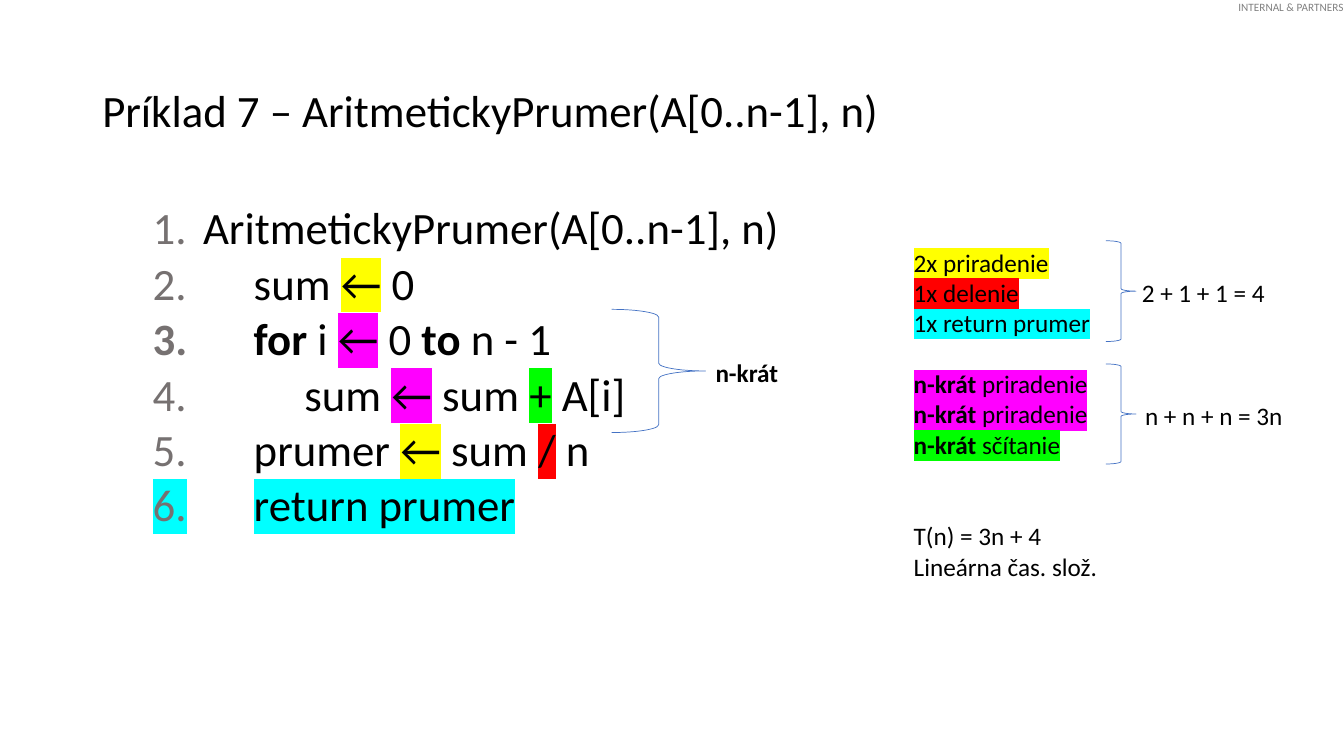
from lxml.etree import SubElement
from pptx import Presentation
from pptx.dml.color import RGBColor
from pptx.enum.shapes import MSO_SHAPE as Shape
from pptx.enum.text import MSO_ANCHOR as Anchor, MSO_AUTO_SIZE as AutoSize
from pptx.oxml.ns import qn
from pptx.util import Pt

COLORS = {
    "text": "000000", "label": "808080", "number": "767171", "brace": "4472C4",
    "yellow": "FFFF00", "magenta": "FF00FF", "green": "00FF00",
    "red": "FF0000", "cyan": "00FFFF",
}
FONT = "Calibri"
CODE_SIZE, NOTE_SIZE = 32, 18
NUMBER_LEFT, CODE_LEFT, CODE_STEP = 36, 72, 36.2

# A span is (text, highlight, bold); a code line is (depth, spans).
CODE = [
    (0, [("AritmetickyPrumer(A[0..n-1], n)",)]),
    (1, [("sum ",), ("←", "yellow"), (" 0",)]),
    (1, [("for ", None, True), ("i ",), ("←", "magenta"), (" 0 ",),
         ("to", None, True), (" n - 1",)]),
    (2, [("sum ",), ("←", "magenta"), (" sum ",), ("+", "green"), (" A[i]",)]),
    (1, [("prumer ",), ("←", "yellow"), (" sum ",), ("/", "red"), (" n",)]),
    (1, [("return prumer", "cyan")]),
]
# A cost line is (space before, spans).
COSTS = [
    (0, [("2x priradenie", "yellow")]),
    (0, [("1x delenie\t", "red")]),
    (0, [("1x return prumer", "cyan")]),
    (22, [("n-krát", "magenta", True), (" priradenie", "magenta")]),
    (0, [("n-krát", "magenta", True), (" priradenie", "magenta")]),
    (0, [("n-krát", "green", True), (" sčítanie", "green")]),
    (44, [("T(n) = 3n + 4",)]),
    (0, [("Lineárna čas. slož.",)]),
]


def rgb(name):
    return RGBColor.from_string(COLORS[name])


def add_frame(page, box, wrap=True):
    frame = page.shapes.add_textbox(*(Pt(length) for length in box)).text_frame
    frame.word_wrap = wrap
    return frame


def add_span(para, size, text, highlight=None, bold=False, color="text"):
    span = para.add_run()
    span.text = text
    font = span.font
    font.name, font.size, font.bold = FONT, Pt(size), bold
    font.color.rgb = rgb(color)
    if highlight:
        props = span._r.get_or_add_rPr()
        mark = SubElement(props, qn("a:highlight"))
        SubElement(mark, qn("a:srgbClr"), val=COLORS[highlight])
        props.find(qn("a:solidFill")).addnext(mark)


def next_para(frame, index):
    return frame.add_paragraph() if index else frame.paragraphs[0]


def number_para(para, left):
    """Number a paragraph, with its text at left and its number at NUMBER_LEFT."""
    props = para._p.get_or_add_pPr()
    props.set("marL", str(Pt(left)))
    props.set("indent", str(Pt(NUMBER_LEFT - left)))
    SubElement(SubElement(props, qn("a:buClr")), qn("a:srgbClr"), val=COLORS["number"])
    SubElement(props, qn("a:buFont"), typeface="+mj-lt")
    SubElement(props, qn("a:buAutoNum"), type="arabicPeriod")


def add_label(page, box):
    frame = add_frame(page, box, wrap=False)
    frame.margin_left = frame.margin_right = frame.margin_top = frame.margin_bottom = 0
    add_span(frame.paragraphs[0], 8, "INTERNAL & PARTNERS", color="label")


def add_title(page, box):
    frame = add_frame(page, box)
    frame.vertical_anchor = Anchor.MIDDLE
    para = frame.paragraphs[0]
    para.line_spacing = 0.9
    add_span(para, CODE_SIZE, "Príklad 7 – AritmetickyPrumer(A[0..n-1], n)")


def add_code(page, box):
    frame = add_frame(page, box)
    for index, (depth, spans) in enumerate(CODE):
        para = next_para(frame, index)
        para.line_spacing, para.space_before = 0.9, Pt(5)
        number_para(para, CODE_LEFT + depth * CODE_STEP)
        for span in spans:
            add_span(para, CODE_SIZE, *span)


def add_costs(page, box):
    frame = add_frame(page, box)
    frame.auto_size = AutoSize.SHAPE_TO_FIT_TEXT
    for index, (gap, spans) in enumerate(COSTS):
        para = next_para(frame, index)
        para.space_before = Pt(gap)
        if "\t" in spans[-1][0]:
            tabs = SubElement(para._p.get_or_add_pPr(), qn("a:tabLst"))
            SubElement(tabs, qn("a:tab"), pos=str(Pt(132)), algn="l")
        for span in spans:
            add_span(para, NOTE_SIZE, *span)


def add_brace(page, box, text, label_gap, label_width, bold=False):
    """Draw a right brace with its label centred on the tip."""
    left, top, width, height = box
    brace = page.shapes.add_shape(Shape.RIGHT_BRACE, *(Pt(length) for length in box))
    brace.shadow.inherit = False
    brace.fill.background()
    brace.line.color.rgb = rgb("brace")
    brace.line.width = Pt(0.5)
    label_height = 29
    label_box = (left + width + label_gap, top + (height - label_height) / 2 + 1,
                 label_width, label_height)
    frame = add_frame(page, label_box, wrap=not bold)
    add_span(frame.paragraphs[0], NOTE_SIZE, text, bold=bold)


def main():
    deck = Presentation()
    deck.slide_width, deck.slide_height = Pt(960), Pt(540)
    page = deck.slides.add_slide(deck.slide_layouts[6])
    add_label(page, (884.6, 0, 77, 9.6))
    add_title(page, (66, 28.75, 828, 104.4))
    add_code(page, (66, 143.75, 828, 342.6))
    add_costs(page, (645.6, 172.8, 330.4, 247))
    add_brace(page, (437, 221, 67, 88), "n-krát", 0, 60, bold=True)
    add_brace(page, (790, 172, 21.5, 72), "2 + 1 + 1 = 4", -3, 104.5)
    add_brace(page, (790, 260, 21.5, 71.5), "n + n + n = 3n", -0.7, 150.5)
    deck.save("out.pptx")


if __name__ == "__main__":
    main()
